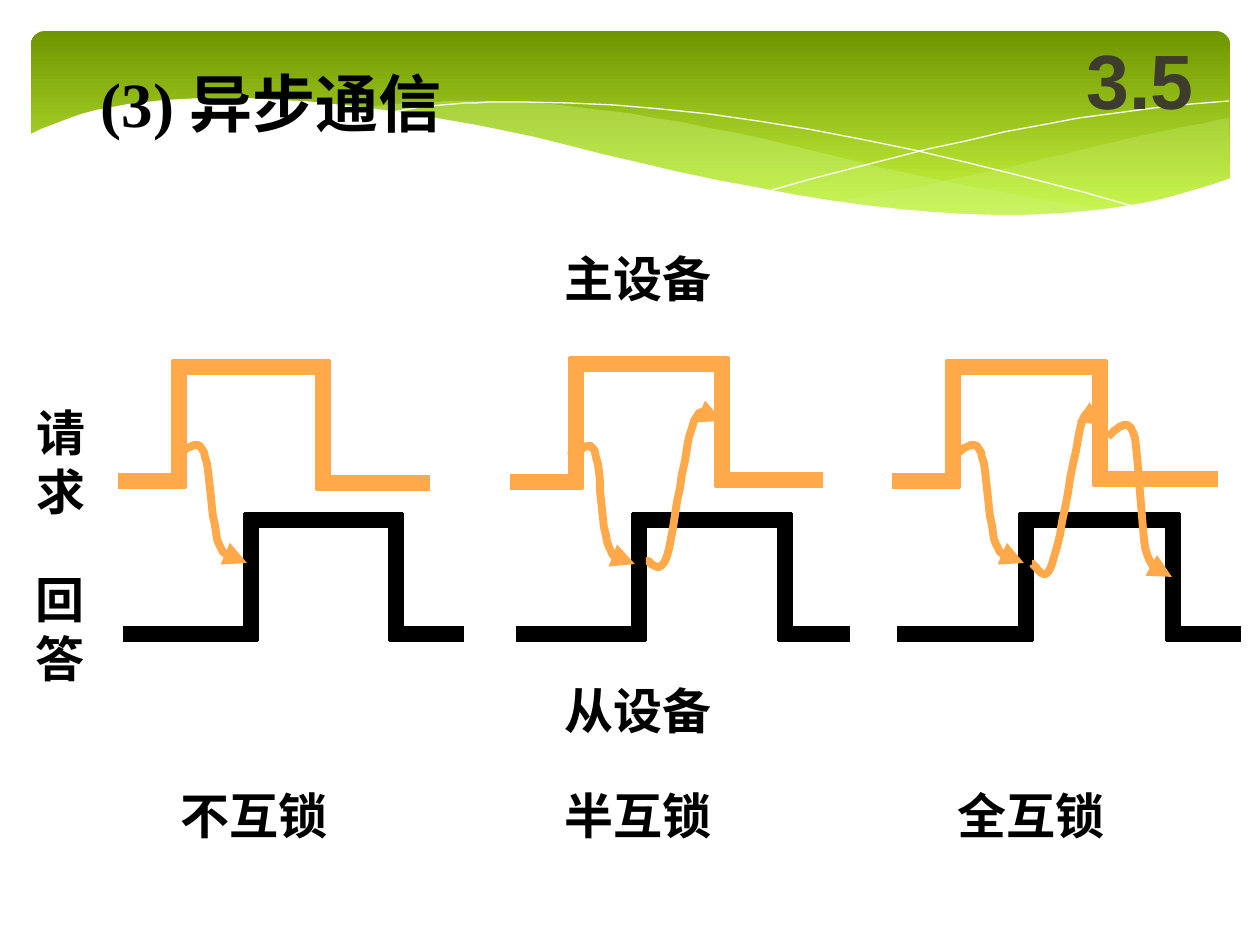
from lxml import etree
from pptx import Presentation
from pptx.dml.color import RGBColor
from pptx.enum.shapes import MSO_CONNECTOR, MSO_SHAPE
from pptx.enum.text import MSO_ANCHOR, MSO_AUTO_SIZE, PP_ALIGN
from pptx.oxml.ns import qn
from pptx.util import Pt

PX = 914400 / 126
STRAIGHT = MSO_CONNECTOR.STRAIGHT
LEFT, CENTER = PP_ALIGN.LEFT, PP_ALIGN.CENTER
TOP, MIDDLE = MSO_ANCHOR.TOP, MSO_ANCHOR.MIDDLE

THEME = {
    "ink": RGBColor.from_string("000000"),
    "request": RGBColor.from_string("FFA94A"),
    "number": RGBColor.from_string("3E3D2D"),
    "band_top": RGBColor.from_string("6F9500"),
    "band_bottom": RGBColor.from_string("D0FF44"),
    "ribbon": RGBColor.from_string("CAF278"),
    "white": RGBColor.from_string("FFFFFF"),
    "label_size": Pt(28), "title_size": Pt(36), "number_size": Pt(44),
    "wave_width": Pt(9), "arrow_width": Pt(4.5), "hairline": Pt(0),
    "serif": "Times New Roman", "sans": "Arial",
}


def bezier_points(knots, steps=12):
    """Points along joined cubic curves: a start, then three knots per curve."""
    points = [knots[0]]
    for i in range(0, len(knots) - 1, 3):
        a, b, c, d = knots[i:i + 4]
        for t in (n / steps for n in range(1, steps + 1)):
            u = 1 - t
            points.append(tuple(
                round(u**3 * a[k] + 3 * u * u * t * b[k]
                      + 3 * u * t * t * c[k] + t**3 * d[k], 2) for k in (0, 1)))
    return points


def add_outline(points, fill=None, line=None, width=None):
    builder = page.shapes.build_freeform(*points[0], scale=PX)
    builder.add_line_segments(points[1:], close=fill is not None)
    shape = builder.convert_to_shape()
    shape.shadow.inherit = False
    if fill is None:
        shape.fill.background()
        shape.line.color.rgb = line
        shape.line.width = width
    else:
        shape.fill.solid()
        shape.fill.fore_color.rgb = fill
        shape.line.fill.background()
    return shape


deck = Presentation()
deck.slide_width, deck.slide_height = round(1260 * PX), round(945 * PX)
page = deck.slides.add_slide(deck.slide_layouts[5])

# Green header band
band = page.shapes.add_shape(MSO_SHAPE.ROUNDED_RECTANGLE,
                             *(round(v * PX) for v in (31, 31, 1199, 197)))
band.adjustments[0] = 0.07
band.shadow.inherit = False
band.line.fill.background()
band.fill.gradient()
band.fill.gradient_angle = 270
for stop, name in zip(band.fill.gradient_stops, ("band_top", "band_bottom")):
    stop.color.rgb = THEME[name]

# Translucent ribbons
RIBBONS = [
    (29, [(1229, 118), (1183, 127), (1135, 136), (1085, 149), (990, 172), (920, 187),
          (833, 202), (910, 212), (970, 217), (1026, 217), (1100, 217), (1170, 203),
          (1230, 178)]),
    (40, [(1125, 210), (1020, 200), (910, 175), (793, 146), (680, 119), (570, 101),
          (479, 101), (435, 101), (395, 103), (360, 108), (420, 114), (490, 128),
          (566, 146), (740, 188), (885, 218), (1017, 218), (1055, 218), (1090, 215),
          (1125, 210)]),
]
for opacity, knots in RIBBONS:
    ribbon = add_outline(bezier_points(knots), fill=THEME["ribbon"])
    color = ribbon._element.spPr.find(qn("a:solidFill"))[0]
    etree.SubElement(color, qn("a:alpha"), val=str(opacity * 1000))

# Fine white curves
HAIRLINES = [
    [(389, 113), (430, 104), (475, 102), (524, 102), (700, 102), (900, 139), (1143, 209)],
    [(772, 190), (930, 146), (1080, 110), (1229, 101)],
]
for knots in HAIRLINES:
    add_outline(bezier_points(knots), line=THEME["white"], width=THEME["hairline"])

# White wave that cuts off the lower edge of the band
WAVE_EDGE = [(29, 135), (75, 110), (140, 98), (222, 98), (330, 98), (450, 117),
             (563, 144), (720, 183), (870, 215), (999, 215), (1090, 216), (1165, 203),
             (1231, 178)]
add_outline(bezier_points(WAVE_EDGE) + [(1231, 282), (29, 282)], fill=THEME["white"])

# Title, section number and labels
title = page.shapes.title
page.shapes._spTree.append(title._element)
LABELS = [  # text, box, size, font, colour, alignment, anchor, wrap
    ("(3) 异步通信", (88, 58, 382, 88), "title_size", "serif", "ink", LEFT, TOP, True),
    ("3.5", (1061, 21, 158, 116), "number_size", "sans", "number", CENTER, MIDDLE, True),
]
LABELS += [(text, box, "label_size", "serif", "ink", LEFT, TOP, wrap)
           for text, box, wrap in [
               ("主设备", (552, 242, 319, 72), True),
               ("从设备", (552, 674, 372, 72), True),
               ("不互锁", (168, 779, 262, 72), True),
               ("半互锁", (552, 779, 299, 72), True),
               ("全互锁", (945, 779, 252, 72), True),
               ("请\n求", (24, 396, 74, 131), False),
               ("回\n答", (23, 563, 74, 131), False)]]
for text, bounds, size, font, color, align, anchor, wrap in LABELS:
    x, y, w, h = (round(v * PX) for v in bounds)
    box = title if size == "title_size" else page.shapes.add_textbox(x, y, w, h)
    box.left, box.top, box.width, box.height = x, y, w, h
    frame = box.text_frame
    frame.text = text
    for name, value in {"word_wrap": wrap, "vertical_anchor": anchor,
                        "auto_size": MSO_AUTO_SIZE.NONE}.items():
        setattr(frame, name, value)
    for para in frame.paragraphs:
        para.alignment = align
        span = para.runs[0]
        for name, value in {"name": THEME[font], "size": THEME[size],
                            "bold": True}.items():
            setattr(span.font, name, value)
        span.font.color.rgb = THEME[color]

# Square waves: low, rise, high, fall, low, each bar overlapping at the corners
OVERLAP = 7
WAVES = [  # colour, start, rise, fall, end, high, low before, low after
    ("request", 118, 179, 323, 430, 367, 481, 483),
    ("request", 510, 576, 722, 823, 364, 482, 480),
    ("request", 892, 953, 1100, 1218, 367, 481, 479),
    ("ink", 123, 251, 396, 464, 520, 634, 634),
    ("ink", 516, 639, 785, 850, 520, 634, 634),
    ("ink", 897, 1026, 1173, 1241, 520, 634, 634),
]
for color, start, rise, fall, end, high, before, after in WAVES:
    bars = [
        (start, before, rise + OVERLAP, before),
        (rise, high - OVERLAP, rise, before + OVERLAP),
        (rise - OVERLAP, high, fall + OVERLAP, high),
        (fall, high - OVERLAP, fall, after + OVERLAP),
        (fall - OVERLAP, after, end, after),
    ]
    for ends in bars:
        bar = page.shapes.add_connector(STRAIGHT, *(round(v * PX) for v in ends))
        bar.line.color.rgb = THEME[color]
        bar.line.width = THEME["wave_width"]
        etree.SubElement(bar._element.spPr, qn("a:effectLst"))

# Curved arrows between request and reply edges
TRIGGER = [(181, 452), (185, 452), (198, 436), (204, 452), (210, 467), (212, 527),
           (219, 544), (227, 563), (241, 559), (247, 563)]
ARROWS = [
    TRIGGER,
    [(x + 777, y) for x, y in TRIGGER],
    [(570, 456), (571, 455), (578, 450), (580, 450), (583, 449), (590, 440), (595, 452),
     (601, 469), (601, 528), (609, 547), (615, 566), (630, 562), (635, 564)],
    [(646, 561), (650, 559), (659, 578), (667, 556), (674, 532), (685, 444), (694, 421),
     (704, 399), (718, 421), (722, 421)],
    [(1032, 564), (1036, 564), (1045, 587), (1052, 564), (1061, 541), (1075, 446),
     (1082, 422), (1091, 399), (1099, 423), (1103, 425)],
    [(1108, 437), (1111, 436), (1126, 413), (1133, 432), (1140, 452), (1140, 530),
     (1147, 554), (1153, 577), (1168, 568), (1172, 572), (1176, 576), (1172, 576),
     (1172, 577)],
]
for knots in ARROWS:
    arrow = add_outline(bezier_points(knots), line=THEME["request"],
                        width=THEME["arrow_width"])
    etree.SubElement(arrow.line._get_or_add_ln(), qn("a:tailEnd"), type="triangle")

deck.save("out.pptx")
